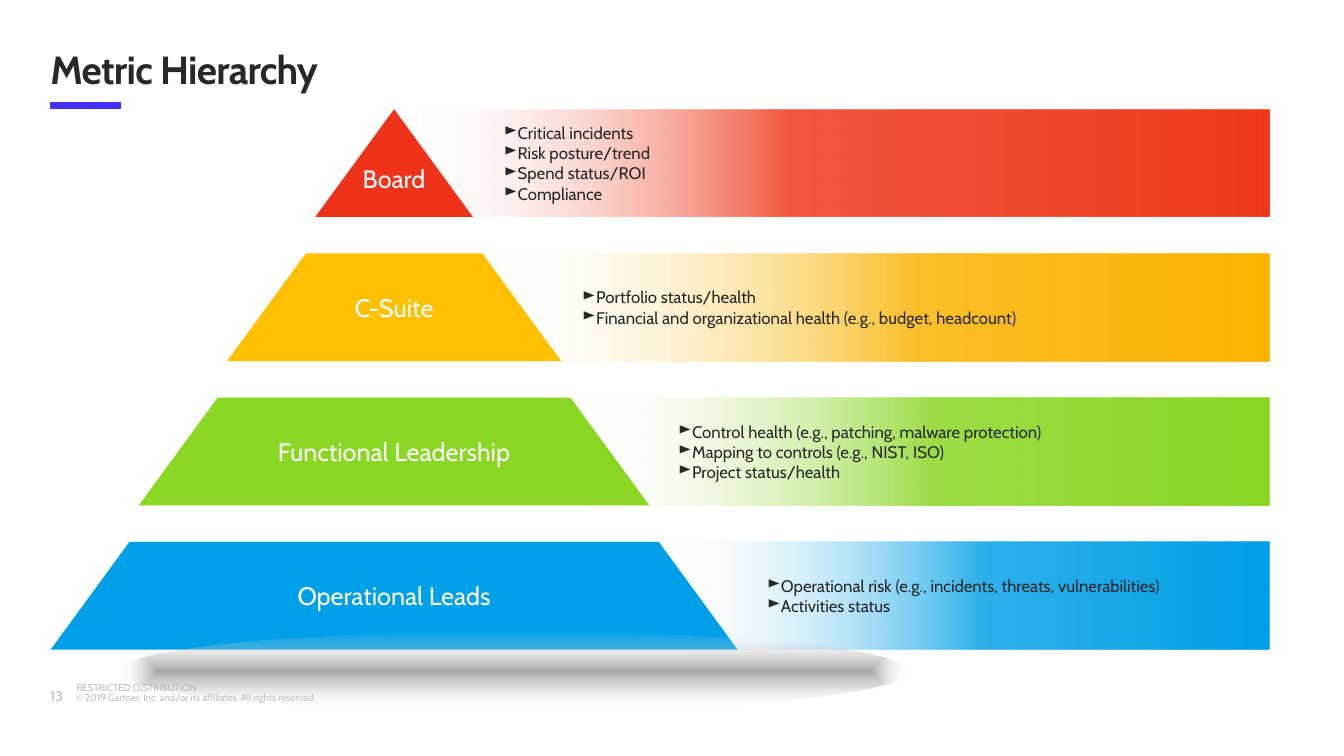
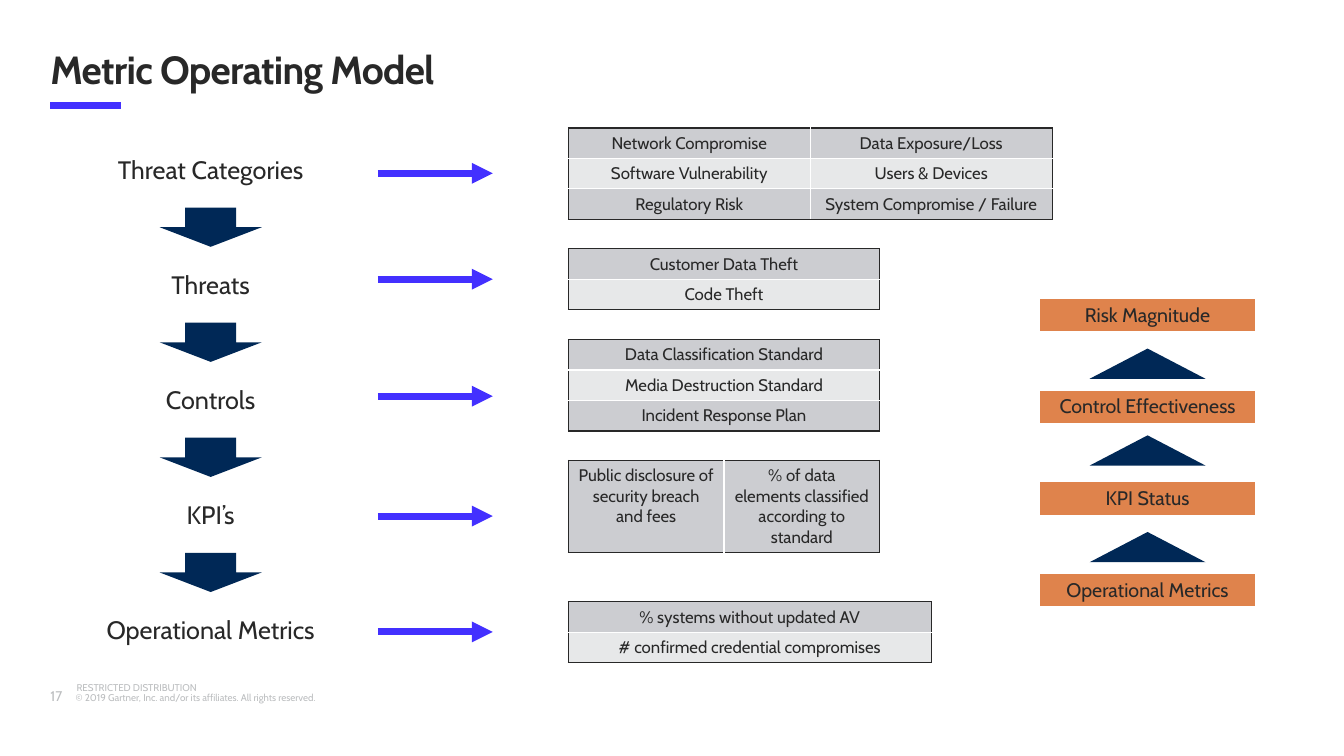
from lxml.etree import SubElement as Sub, Element
from pptx import Presentation
from pptx.dml.color import RGBColor as Rgb
from pptx.enum.shapes import MSO_CONNECTOR as Wire, MSO_SHAPE as Kind
from pptx.enum.text import MSO_ANCHOR as Anchor, PP_ALIGN as Align
from pptx.oxml.ns import qn
from pptx.util import Pt

FONT = "Cabin"
HUES = {
    "ink": "282828", "white": "FFFFFF", "gray": "BCBEC0", "accent": "4330FF",
    "navy": "002856", "orange": "DF834C", "dark": "CCCDD1", "light": "E7E8E9",
    "red": "EE331A", "gold": "FFC000", "green": "8AD723", "blue": "00A0E8",
    "shade": "808080",
}
RIGHTS = "© 2019 Gartner, Inc. and/or its affiliates. All rights reserved."
LIMIT = "RESTRICTED DISTRIBUTION"

TIERS = [
    ("Board", "red", 281, (45, "F1583F", "EE381A"),
     ["Critical incidents", "Risk posture/trend", "Spend status/ROI", "Compliance"]),
    ("C-Suite", "gold", 337, (56, "FBBF28", "FAB300"),
     ["Portfolio status/health",
      "Financial and organizational health (e.g., budget, headcount)"]),
    ("Functional Leadership", "green", 405.5, (52, "9CDD46", "8AD723"),
     ["Control health (e.g., patching, malware protection)",
      "Mapping to controls (e.g., NIST, ISO)", "Project status/health"]),
    ("Operational Leads", "blue", 469, (53, "2EB1EC", "00A0E8"),
     ["Operational risk (e.g., incidents, threats, vulnerabilities)",
      "Activities status"]),
]

STEPS = [
    ("Threat Categories", 123.8, 91.4, 345.6, 21.75,
     [["Network Compromise", "Data Exposure/Loss"],
      ["Software Vulnerability", "Users & Devices"],
      ["Regulatory Risk", "System Compromise / Failure"]]),
    ("Threats", 199.4, 177.8, 222.4, 21.75,
     [["Customer Data Theft"], ["Code Theft"]]),
    ("Controls", 283, 242.6, 222.4, 21.75,
     [["Data Classification Standard"], ["Media Destruction Standard"],
      ["Incident Response Plan"]]),
    ("KPI’s", 368.6, 329, 222.4, 65.5,
     [["Public disclosure of security breach and fees",
       "% of data elements classified according to standard"]]),
    ("Operational Metrics", 451.4, 429.8, 259.2, 21.75,
     [["% systems without updated AV"], ["# confirmed credential compromises"]]),
]

LEVELS = ["Risk Magnitude", "Control Effectiveness", "KPI Status", "Operational Metrics"]
PEAKS = [249, 311, 380]


def rgb(name):
    return Rgb.from_string(HUES[name])


def write(frame, paras, size=12, ink="ink", align=None, anchor=Anchor.TOP,
          inset=None, bold=False, track=None, lead=None, hang=None, mark=None, tab=None):
    frame.word_wrap = True
    frame.vertical_anchor = anchor
    if inset is not None:
        (frame.margin_left, frame.margin_top,
         frame.margin_right, frame.margin_bottom) = map(Pt, inset)
    for i, runs in enumerate(paras):
        para = frame.add_paragraph() if i else frame.paragraphs[0]
        props = para._p.get_or_add_pPr()
        if hang:
            props.set("marL", str(Pt(hang[0])))
            props.set("indent", str(Pt(hang[1])))
        if mark:
            Sub(props, qn("a:buChar"), char=mark)
        if tab:
            Sub(Sub(props, qn("a:tabLst")), qn("a:tab"), pos=str(Pt(tab)), algn="l")
        if align is not None:
            para.alignment = align
        if lead:
            para.line_spacing = lead
        for words, points in [(runs, size)] if isinstance(runs, str) else runs:
            run = para.add_run()
            run.text = words
            font = run.font
            font.name, font.size, font.bold = FONT, Pt(points), bold
            font.color.rgb = rgb(ink)
            if track:
                run._r.get_or_add_rPr().set("spc", str(track))


def label(slide, box, paras, **style):
    shape = slide.shapes.add_textbox(*map(Pt, box))
    write(shape.text_frame, paras, inset=(0, 0, 0, 0), **style)


def plain(shape, hue=None):
    shape.shadow.inherit = False
    shape.line.fill.background()
    if hue:
        shape.fill.solid()
        shape.fill.fore_color.rgb = rgb(hue)
    return shape


def block(slide, kind, box, hue=None):
    return plain(slide.shapes.add_shape(kind, *map(Pt, box)), hue)


def blend(shape, stops, radial=False):
    grad = Element(qn("a:gradFill"), rotWithShape="1")
    row = Sub(grad, qn("a:gsLst"))
    for pos, hue, alpha in stops:
        tint = Sub(Sub(row, qn("a:gs"), pos=str(pos * 1000)), qn("a:srgbClr"), val=hue)
        if alpha < 100:
            Sub(tint, qn("a:alpha"), val=str(alpha * 1000))
    if radial:
        Sub(Sub(grad, qn("a:path"), {"path": "shape"}), qn("a:fillToRect"),
            l="50000", t="50000", r="50000", b="50000")
    else:
        Sub(grad, qn("a:lin"), ang="0", scaled="0")
    shape._element.spPr.find(qn("a:prstGeom")).addnext(grad)


def rule(slide, left, right, y, arrow=False):
    wire = slide.shapes.add_connector(Wire.STRAIGHT, *map(Pt, (left, y, right, y)))
    wire.line.color.rgb = rgb("accent")
    wire.line.width = Pt(5)
    if arrow:
        Sub(wire.line._get_or_add_ln(), qn("a:tailEnd"), type="triangle")
    Sub(wire._element.spPr, qn("a:effectLst"))


def edge(cell, side, hue):
    line = Sub(cell._tc.get_or_add_tcPr(), qn("a:ln" + side), w=str(Pt(1)))
    Sub(Sub(line, qn("a:solidFill")), qn("a:srgbClr"), val=HUES[hue])


def grid(slide, left, top, width, high, rows, size=12, hues=("dark", "light"), rim="ink"):
    tall, wide = len(rows), len(rows[0])
    table = slide.shapes.add_table(
        tall, wide, *map(Pt, (left, top, width, high * tall))).table
    table.first_row = table.horz_banding = False
    for col in table.columns:
        col.width = Pt(width / wide)
    for r, row in enumerate(rows):
        table.rows[r].height = Pt(high)
        for c, words in enumerate(row):
            cell = table.cell(r, c)
            outer = {"L": c == 0, "R": c == wide - 1, "T": r == 0, "B": r == tall - 1}
            for side, rimmed in outer.items():
                edge(cell, side, rim if rimmed else "white")
            cell.fill.solid()
            cell.fill.fore_color.rgb = rgb(hues[r % len(hues)])
            write(cell.text_frame, [words], size=size, align=Align.CENTER)


def start(deck, title, number):
    slide = deck.slides.add_slide(deck.slide_layouts[6])
    label(slide, (36, 491, 575, 12.2), [[(number, 10), ("\t" + RIGHTS, 7)]],
          ink="gray", anchor=Anchor.BOTTOM, hang=(18, -18), tab=18)
    label(slide, (54.7, 486.7, 182, 8.6), [LIMIT], size=7, ink="gray",
          anchor=Anchor.BOTTOM)
    rule(slide, 36, 86.4, 75.6)
    label(slide, (36, 36, 885.6, 36), [title], size=28, bold=True, track=-50, lead=0.9)
    return slide


def pyramid(deck):
    slide = start(deck, "Metric Hierarchy", "13")
    first, high, pitch, mid, slant, grow, right = 78, 77, 103, 281.5, 56.3, 63, 907
    tops = [first + pitch * i for i in range(len(TIERS))]
    for top, (_, _, left, (pos, near, far), items) in zip(tops, TIERS):
        band = block(slide, Kind.RECTANGLE, (left, top, right - left, high))
        blend(band, [(0, HUES["white"], 0), (pos, near, 100), (100, far, 100)])
        write(band.text_frame, items, align=Align.LEFT, anchor=Anchor.MIDDLE,
              hang=(81.5, -9.5), mark="►")
    for i, (top, (name, hue, *_)) in enumerate(zip(tops, TIERS)):
        half, base = grow * i, grow * i + slant
        spots = [(mid - half, top), (mid + half, top),
                 (mid + base, top + high), (mid - base, top + high)]
        spots = [(Pt(x), Pt(y)) for x, y in spots]
        path = slide.shapes.build_freeform(*spots[0], scale=1.0)
        path.add_line_segments(spots[1:], close=True)
        tier = plain(path.convert_to_shape(), hue)
        write(tier.text_frame, [name], size=18, ink="white", align=Align.CENTER,
              anchor=Anchor.MIDDLE, inset=(7.2, 3.6 if i else 25.6, 7.2, 3.6))
    glow = block(slide, Kind.OVAL, (85, 451.4, 563.8, 56.2))
    blend(glow, [(0, HUES["shade"], 70), (100, HUES["white"], 0)], radial=True)


def model(deck):
    slide = start(deck, "Metric Operating Model", "17")
    mid, pitch = 150.5, 82.2
    for i, (name, y, top, width, high, rows) in enumerate(STEPS):
        label(slide, (mid - 90, 110.2 + pitch * i, 180, 21.6), [name], size=18,
              align=Align.CENTER)
        if i < len(STEPS) - 1:
            block(slide, Kind.DOWN_ARROW, (mid - 36.5, 148.3 + pitch * i, 73, 28), "navy")
        grid(slide, 406, top, width, high, rows)
        rule(slide, 270, 352, y, arrow=True)
    for i, name in enumerate(LEVELS):
        grid(slide, 742.3, 213 + 65.5 * i, 154.8, 23.75, [[name]], size=14,
             hues=("orange",), rim="white")
    for top in PEAKS:
        block(slide, Kind.ISOSCELES_TRIANGLE, (778.3, top, 82.8, 21.6), "navy")


def main():
    deck = Presentation()
    deck.slide_width, deck.slide_height = Pt(960), Pt(540)
    pyramid(deck)
    model(deck)
    deck.save("out.pptx")


if __name__ == "__main__":
    main()
